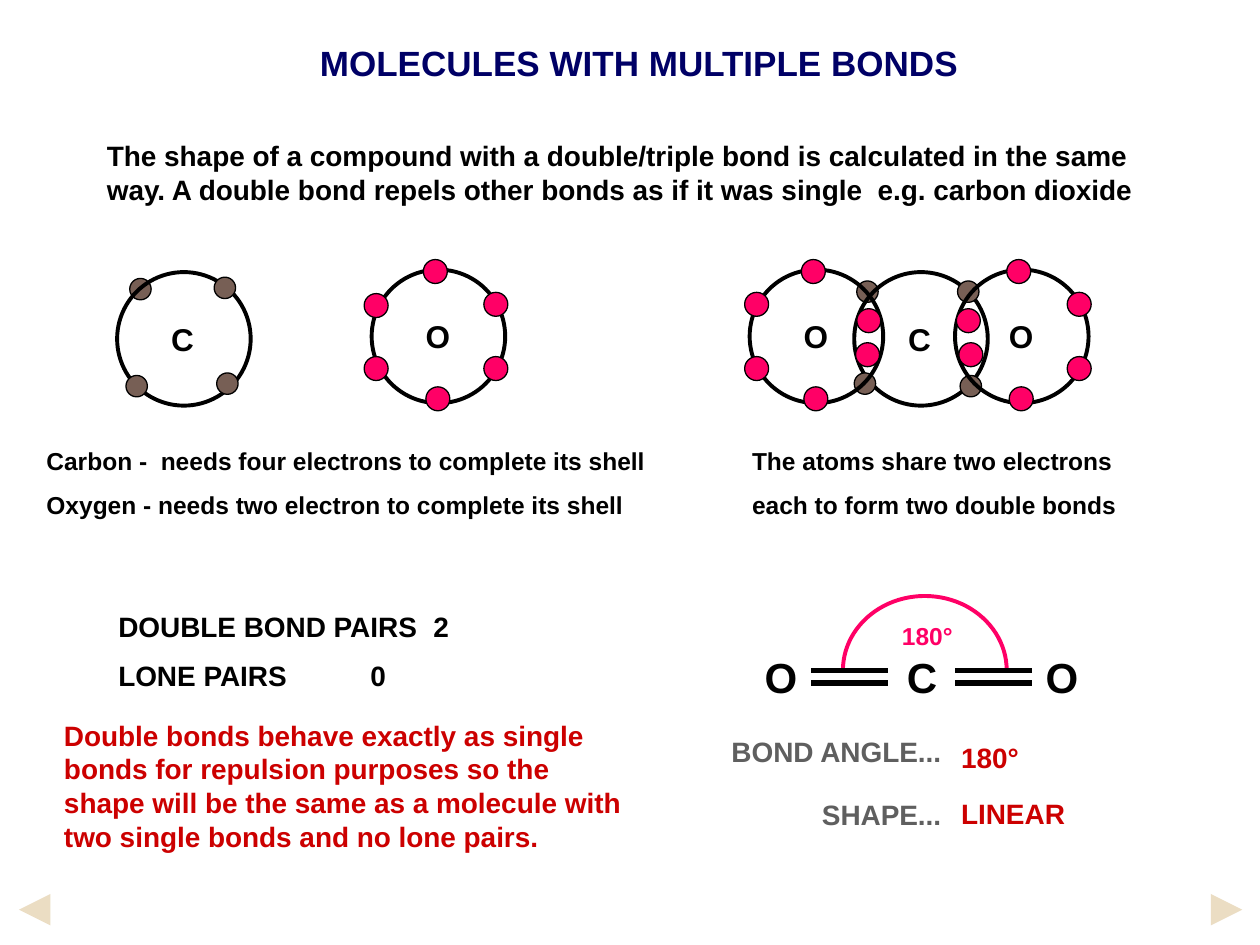
import pptx
import pptx.dml.color
import pptx.enum.shapes
import pptx.enum.text
import pptx.oxml.ns
import pptx.util
from lxml import etree

Inches = pptx.util.Inches
Pt = pptx.util.Pt
RGBColor = pptx.dml.color.RGBColor
MSO_SHAPE = pptx.enum.shapes.MSO_SHAPE
PP_ALIGN = pptx.enum.text.PP_ALIGN
MSO_ANCHOR = pptx.enum.text.MSO_ANCHOR
qn = pptx.oxml.ns.qn

BLACK = RGBColor(0x00, 0x00, 0x00)
NAVY = RGBColor(0x00, 0x00, 0x66)
BROWN = RGBColor(0x77, 0x5F, 0x55)
PINK = RGBColor(0xFF, 0x00, 0x66)
RED = RGBColor(0xCC, 0x00, 0x00)
GREY = RGBColor(0x5F, 0x5F, 0x5F)
SAND = RGBColor(0xEB, 0xDD, 0xC3)

presentation = pptx.Presentation()
presentation.slide_width = Inches(10)
presentation.slide_height = Inches(7.5)
slide = presentation.slides.add_slide(presentation.slide_layouts[6])


def add_text(text, left, top, width, height, size=16, color=BLACK, wrap=False,
             align=PP_ALIGN.LEFT, anchor=MSO_ANCHOR.MIDDLE, line_spacing=None, gap=8):
    box = slide.shapes.add_textbox(Inches(left), Inches(top), Inches(width), Inches(height))
    frame = box.text_frame
    frame.word_wrap = wrap
    frame.auto_size = pptx.enum.text.MSO_AUTO_SIZE.SHAPE_TO_FIT_TEXT
    frame.vertical_anchor = anchor
    frame.text = text
    for index, paragraph in enumerate(frame.paragraphs):
        paragraph.alignment = align
        if index:
            paragraph.space_before = Pt(gap)
        if line_spacing:
            paragraph.line_spacing = Pt(line_spacing)
        paragraph.font.name = "Arial"
        paragraph.font.size = Pt(size)
        paragraph.font.bold = True
        paragraph.font.color.rgb = color


def add_outline(kind, left, top, width, height, line_color=BLACK, line_width=2.25, fill=None):
    shape = slide.shapes.add_shape(kind, Inches(left), Inches(top), Inches(width), Inches(height))
    shape.shadow.inherit = False
    if fill is None:
        shape.fill.background()
    else:
        shape.fill.solid()
        shape.fill.fore_color.rgb = fill
    shape.line.color.rgb = line_color
    shape.line.width = Pt(line_width)
    return shape


add_text("MOLECULES WITH MULTIPLE BONDS", 2.44, 0.28, 5.31, 0.44, size=20, color=NAVY)
add_text("The shape of a compound with a double/triple bond is calculated in the same way. "
         "A double bond repels other bonds as if it was single  e.g. carbon dioxide",
         0.75, 1.05, 8.43, 0.64, wrap=True, anchor=MSO_ANCHOR.TOP)

SHELL_SIZE = 1.06
ELECTRON_SIZES = {"C": 0.17, "O": 0.19}
ELECTRON_COLORS = {"C": BROWN, "O": PINK}
LABEL_WIDTHS = {"C": 0.38, "O": 0.4}
atoms = [
    ("C", 0.93, 2.16, [(1.03, 2.21)], [(1, 2.98), (1.72, 2.96), (1.7, 2.2)]),
    ("O", 2.95, 2.14, [], [(3.84, 2.32), (3.36, 2.06), (2.89, 2.33),
                           (3.38, 3.07), (3.84, 2.83), (2.89, 2.83)]),
    ("C", 6.78, 2.16, [(6.8, 2.23)], [(6.78, 2.96), (7.62, 2.98), (7.6, 2.23)]),
    ("O", 7.58, 2.14, [], [(8.47, 2.32), (7.99, 2.06), (7.59, 2.45),
                           (8.01, 3.07), (8.47, 2.83), (7.61, 2.72)]),
    ("O", 5.95, 2.14, [], [(5.91, 2.32), (6.36, 2.06), (6.8, 2.45),
                           (6.38, 3.07), (5.91, 2.83), (6.79, 2.72)]),
]
for element, left, top, electrons_behind, electrons_in_front in atoms:
    electron_size = ELECTRON_SIZES[element]
    electron_color = ELECTRON_COLORS[element]
    for x, y in electrons_behind:
        add_outline(MSO_SHAPE.OVAL, x, y, electron_size, electron_size,
                    line_width=0.75, fill=electron_color)
    add_text(element, left + 0.33, top + 0.33, LABEL_WIDTHS[element], 0.4, size=18)
    add_outline(MSO_SHAPE.OVAL, left, top, SHELL_SIZE, SHELL_SIZE)
    for x, y in electrons_in_front:
        add_outline(MSO_SHAPE.OVAL, x, y, electron_size, electron_size,
                    line_width=0.75, fill=electron_color)

add_text("Carbon -  needs four electrons to complete its shell\n"
         "Oxygen - needs two electron to complete its shell",
         0.27, 3.49, 4.96, 0.68, size=14, wrap=True)
add_text("The atoms share two electrons\neach to form two double bonds",
         5.87, 3.49, 3.09, 0.68, size=14, wrap=True)
add_text("DOUBLE BOND PAIRS\t2\nLONE PAIRS\t\t0", 0.84, 4.78, 3.32, 0.77, gap=9)
add_text("BOND ANGLE...\nSHAPE...", 5.69, 5.65, 1.88, 1.01, color=GREY,
         align=PP_ALIGN.RIGHT, line_spacing=28)
add_text("180°\nLINEAR", 7.53, 5.75, 1.03, 0.9, color=RED, line_spacing=24)

for element, left, width in [("O", 5.97, 0.46), ("C", 7.1, 0.44), ("O", 8.2, 0.46)]:
    add_text(element, left, 5.12, width, 0.5, size=24)
angle_arc = add_outline(MSO_SHAPE.ARC, 6.69, 4.73, 1.3, 1.18, line_color=PINK)
angle_arc.adjustments[0] = 108
angle_arc.adjustments[1] = 0
add_text("180°", 7.06, 4.88, 0.6, 0.33, size=14, color=PINK)

lines = [(x, x + 0.61, y, BLACK, 3, False) for x in (6.44, 7.58) for y in (5.32, 5.42)]
lines += [(9.65, 9.86, 7.22, SAND, 6, True), (0.36, 0.15, 7.22, SAND, 6, True)]
for start, end, y, color, width, has_arrowhead in lines:
    connector = slide.shapes.add_connector(
        pptx.enum.shapes.MSO_CONNECTOR.STRAIGHT, Inches(start), Inches(y), Inches(end), Inches(y))
    connector.line.color.rgb = color
    connector.line.width = Pt(width)
    if has_arrowhead:
        etree.SubElement(connector.line._get_or_add_ln(), qn("a:tailEnd"), type="triangle")
    etree.SubElement(connector._element.spPr, qn("a:effectLst"))

add_text("Double bonds behave exactly as single bonds for repulsion purposes so the shape "
         "will be the same as a molecule with two single bonds and no lone pairs.",
         0.41, 5.65, 4.67, 1.17, color=RED, wrap=True)

presentation.save("out.pptx")
